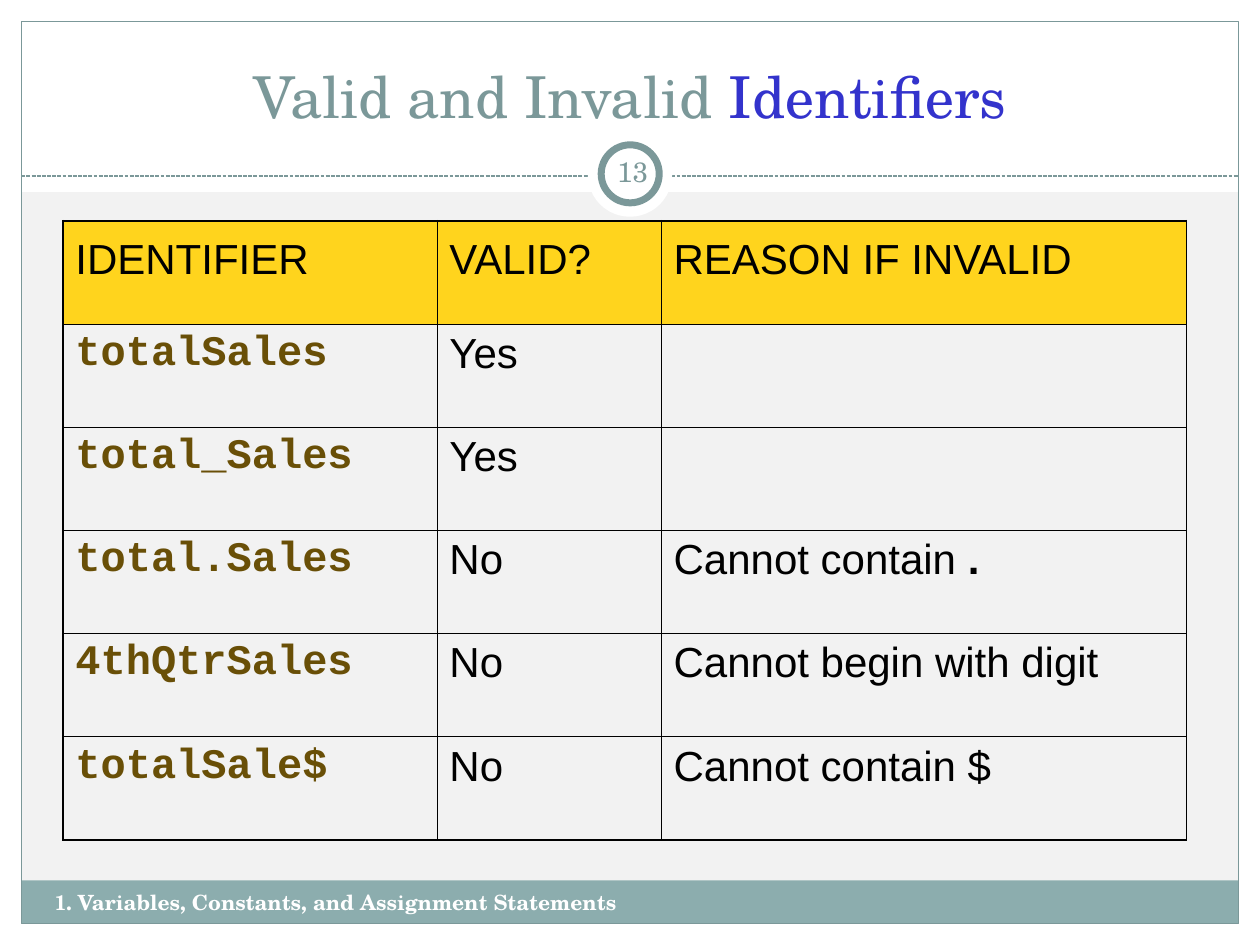
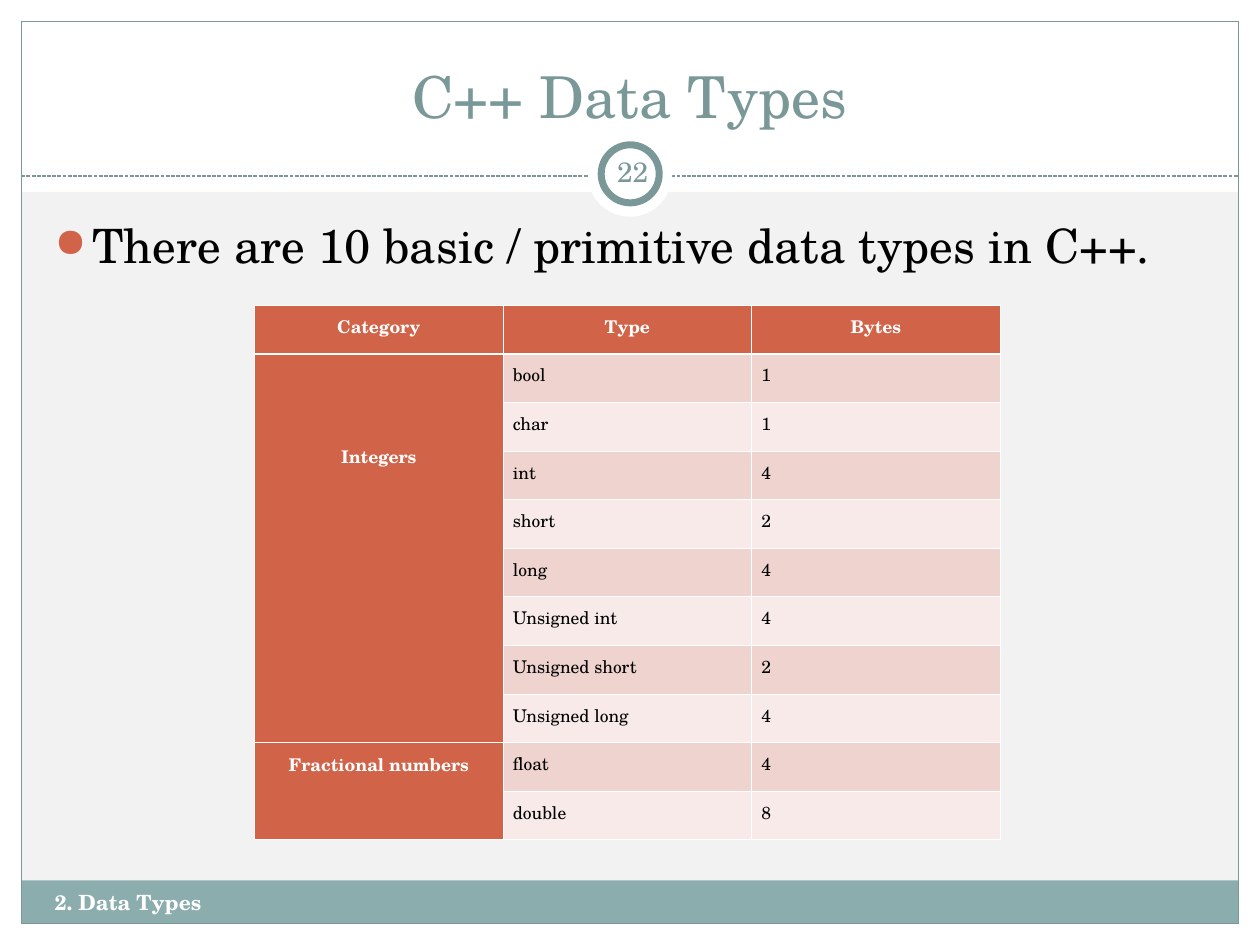
from lxml.etree import SubElement
from pptx import Presentation
from pptx.dml.color import RGBColor
from pptx.enum.dml import MSO_LINE_DASH_STYLE as Dash
from pptx.enum.shapes import MSO_CONNECTOR as Connector, MSO_SHAPE as Preset
from pptx.enum.text import MSO_ANCHOR as Anchor, PP_ALIGN as Align
from pptx.oxml.ns import qn
from pptx.util import Cm, Pt

COLORS = {
    "background": "F2F2F2", "white": "FFFFFF", "black": "000000",
    "teal": "7B9899", "footer": "8CADAE", "blue": "3333CC",
    "yellow": "FFD41D", "brown": "694F07",
    "rust": "D16349", "rose": "EED3CF", "pale rose": "F7EAE9",
}
RGB = {name: RGBColor.from_string(value) for name, value in COLORS.items()}
SERIF, SANS, MONO = "TeX Gyre Schola", "Arial", "Courier New"


def write_text(frame, texts, size, color, font=SERIF, bold=False, align=Align.LEFT):
    """Fill the first paragraph with one run per text."""
    paragraph = frame.paragraphs[0]
    for text in texts:
        paragraph.add_run().text = text
    paragraph.alignment = align
    paragraph.font.size = Pt(size)
    paragraph.font.name = font
    paragraph.font.bold = bold
    paragraph.font.color.rgb = RGB[color]
    return paragraph


def style_cell(cell, fill, border_color, widths, margins):
    """Set borders (left, right, top, bottom in points), fill and margins."""
    properties = cell._tc.get_or_add_tcPr()
    for side, width in zip(("lnL", "lnR", "lnT", "lnB"), widths):
        line = SubElement(properties, qn(f"a:{side}"), w=str(Pt(width)))
        solid = SubElement(line, qn("a:solidFill"))
        SubElement(solid, qn("a:srgbClr"), val=COLORS[border_color])
    if fill:
        cell.fill.solid()
        cell.fill.fore_color.rgb = RGB[fill]
    else:
        cell.fill.background()
    side_margin, top_margin = margins
    cell.margin_left = cell.margin_right = Cm(side_margin)
    cell.margin_top, cell.margin_bottom = Cm(top_margin), Cm(0.13)


presentation = Presentation()
presentation.slide_width, presentation.slide_height = Cm(25.4), Cm(19.05)

# Shared frame: shape, box in cm, fill, line, line width
FRAME = [
    (Preset.RECTANGLE, (0, 18.62, 25.4, 0.43), "white", None, 0),
    (Preset.RECTANGLE, (0, 0, 25.4, 3.87), "white", None, 0),
    (Preset.RECTANGLE, (0, 0, 0.43, 19.05), "white", None, 0),
    (Preset.RECTANGLE, (24.97, 0, 0.43, 19.05), "white", None, 0),
    (Preset.RECTANGLE, (0.43, 17.75, 24.54, 0.87), "footer", None, 0),
    (Preset.RECTANGLE, (0.43, 0.43, 24.54, 18.19), None, "teal", 0.75),
    ("divider", None, None, "teal", 0.75),
    (Preset.OVAL, (11.85, 2.67, 1.7, 1.7), "white", None, 0),
    (Preset.OVAL, (12.12, 2.92, 1.17, 1.17), "white", "teal", 4),
]
PAGES = [
    (["Valid and Invalid ", "Identifiers"], "13",
     "1. Variables, Constants, and Assignment Statements", 13.54),
    (["C++ Data Types"], "22", "2. Data Types", 5.51),
]

for title, number, footer, footer_width in PAGES:
    slide = presentation.slides.add_slide(presentation.slide_layouts[6])
    slide.background.fill.solid()
    slide.background.fill.fore_color.rgb = RGB["background"]

    # Bands, border, dashed divider and number ring
    for preset, box, fill, line_color, line_width in FRAME:
        if preset == "divider":
            shape = slide.shapes.add_connector(
                Connector.STRAIGHT, Cm(0.43), Cm(3.55), Cm(24.97), Cm(3.55))
            shape.line.dash_style = Dash.SQUARE_DOT
            SubElement(shape._element.spPr, qn("a:effectLst"))
        else:
            shape = slide.shapes.add_shape(preset, *map(Cm, box))
            shape.shadow.inherit = False
            if fill:
                shape.fill.solid()
                shape.fill.fore_color.rgb = RGB[fill]
            else:
                shape.fill.background()
        if line_color:
            shape.line.color.rgb = RGB[line_color]
            shape.line.width = Pt(line_width)
        else:
            shape.line.fill.background()

    # Title, slide number and footer
    for box, texts, size, color, bold, align, anchor in [
        ((0.85, 0.64, 23.7, 2.11), title, 33, "teal", False, Align.CENTER, Anchor.BOTTOM),
        ((12.12, 2.84, 1.27, 1.22), [number], 16, "teal", False, Align.CENTER, Anchor.MIDDLE),
        ((0.85, 17.8, footer_width, 1.02), [footer], 12, "white", True, Align.LEFT, Anchor.TOP),
    ]:
        frame = slide.shapes.add_textbox(*map(Cm, box)).text_frame
        frame.word_wrap = True
        frame.vertical_anchor = anchor
        if texts == [number]:
            frame.margin_left = frame.margin_right = Cm(0.13)
        paragraph = write_text(frame, texts, size, color, bold=bold, align=align)
        for run in paragraph.runs[1:]:
            run.font.color.rgb = RGB["blue"]

identifier_slide, types_slide = presentation.slides

# Identifier table
IDENTIFIERS = [
    ("IDENTIFIER", "VALID?", ["REASON IF INVALID"]),
    ("totalSales", "Yes", []),
    ("total_Sales", "Yes", []),
    ("total.Sales", "No", ["Cannot contain ", "."]),
    ("4thQtrSales", "No", ["Cannot begin with digit"]),
    ("totalSale$", "No", ["Cannot contain $"]),
]
row_count = len(IDENTIFIERS)
table = identifier_slide.shapes.add_table(
    row_count, 3, Cm(1.27), Cm(4.45), Cm(22.65), Cm(12.48)).table
table.first_row = table.horz_banding = False
for column, width in zip(table.columns, (7.54, 4.52, 10.59)):
    column.width = Cm(width)
for row_index, (identifier, valid, reason) in enumerate(IDENTIFIERS):
    table.rows[row_index].height = Cm(2.08)
    for column_index, texts in enumerate(([identifier], [valid], reason)):
        cell = table.cell(row_index, column_index)
        on_edge = (column_index == 0, column_index == 2,
                   row_index == 0, row_index == row_count - 1)
        widths = [1.08 if edge else 0.45 for edge in on_edge]
        is_header = row_index == 0
        style_cell(cell, "yellow" if is_header else None, "black", widths, (0.25, 0.13))
        is_code = column_index == 0 and not is_header
        paragraph = write_text(cell.text_frame, texts, 24,
                               "brown" if is_code else "black",
                               MONO if is_code else SANS, bold=is_code)
        if is_header:
            paragraph.line_spacing = 1.2
        for run in paragraph.runs[1:]:
            run.font.bold = True

# Bulleted statement
frame = types_slide.shapes.add_textbox(Cm(0.85), Cm(4.24), Cm(23.62), Cm(2.11)).text_frame
frame.word_wrap = True
properties = frame.paragraphs[0]._p.get_or_add_pPr()
properties.set("marL", str(Cm(0.76)))
properties.set("indent", str(-Cm(0.76)))
bullet_color = SubElement(properties, qn("a:buClr"))
SubElement(bullet_color, qn("a:srgbClr"), val=COLORS["rust"])
SubElement(properties, qn("a:buSzPct"), val="85000")
SubElement(properties, qn("a:buChar"), char="●")
write_text(frame, ["There are 10 basic / primitive data types in C++."], 27, "black")

# Data type table
DATA_TYPES = [
    ("Category", "Type", "Bytes"),
    ("Integers", "bool", "1"),
    ("", "char", "1"),
    ("", "int", "4"),
    ("", "short", "2"),
    ("", "long", "4"),
    ("", "Unsigned int", "4"),
    ("", "Unsigned short", "2"),
    ("", "Unsigned long", "4"),
    ("Fractional numbers", "float", "4"),
    ("", "double", "8"),
]
table = types_slide.shapes.add_table(
    len(DATA_TYPES), 3, Cm(5.13), Cm(6.15), Cm(15.03), Cm(10.8)).table
table.first_row = table.horz_banding = False
for column in table.columns:
    column.width = Cm(5.01)
for row_index, values in enumerate(DATA_TYPES):
    table.rows[row_index].height = Cm(0.98)
    for column_index, text in enumerate(values):
        cell = table.cell(row_index, column_index)
        is_heading = row_index == 0 or column_index == 0
        band = "rose" if row_index % 2 else "pale rose"
        widths = (0.45, 0.45, 1.47 if row_index == 1 else 0.45,
                  1.47 if row_index == 0 else 0.45)
        style_cell(cell, "rust" if is_heading else band, "white", widths,
                   (0.2, 1.8 if text == "Integers" else 0.17))
        write_text(cell.text_frame, [text] if text else [], 10,
                   "white" if is_heading else "black", bold=is_heading,
                   align=Align.CENTER if is_heading else Align.JUSTIFY)
for first_row, last_row in ((1, 8), (9, 10)):
    table.cell(first_row, 0).merge(table.cell(last_row, 0))

presentation.save("out.pptx")
